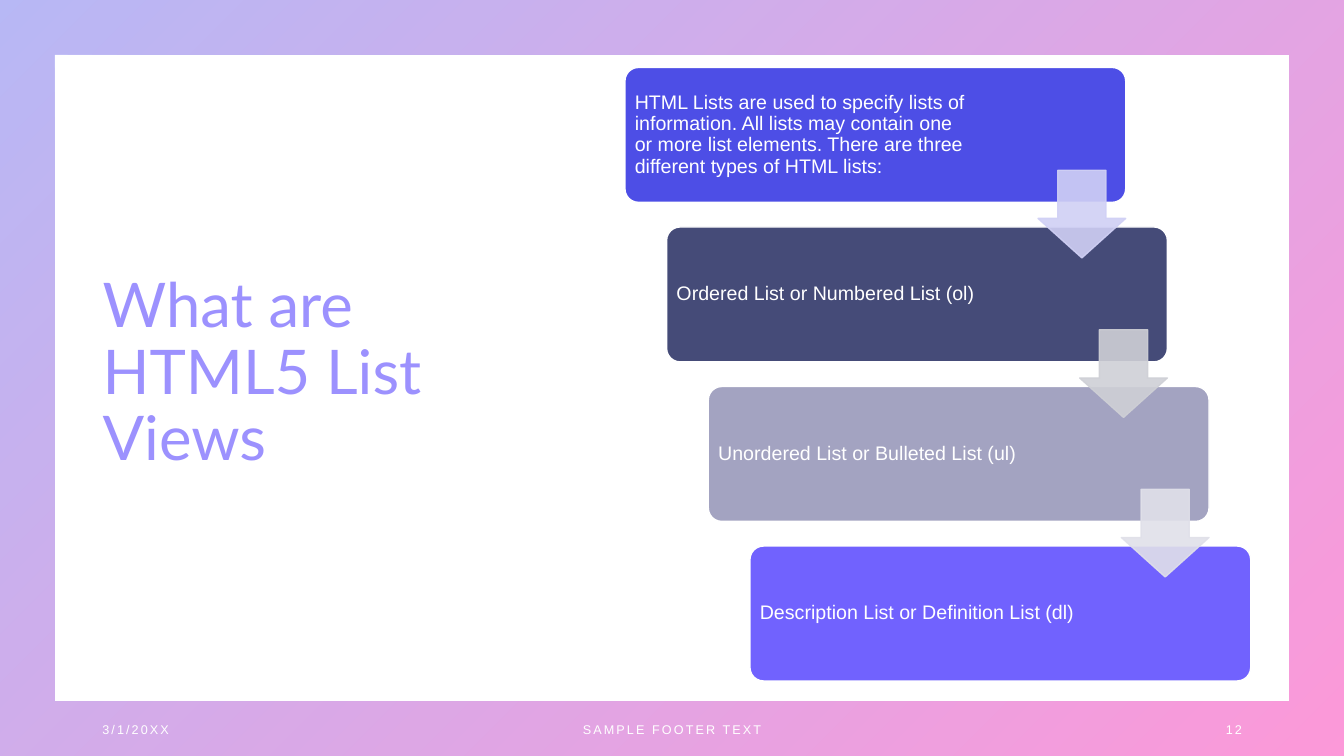
from lxml.etree import SubElement
from pptx import Presentation
from pptx.dml.color import RGBColor
from pptx.enum.shapes import MSO_SHAPE
from pptx.enum.text import MSO_ANCHOR, MSO_AUTO_SIZE, PP_ALIGN
from pptx.oxml.ns import qn
from pptx.util import Cm, Pt

WHITE = RGBColor(0xFF, 0xFF, 0xFF)
BLUE = RGBColor(0x4D, 0x4E, 0xE6)
PINK = RGBColor(0xF9, 0x00, 0xA0)
NAVY = RGBColor(0x45, 0x4B, 0x78)
GREY = RGBColor(0xA3, 0xA3, 0xC1)
VIOLET = RGBColor(0x71, 0x62, 0xFE)
TITLE_VIOLET = RGBColor(0x9C, 0x91, 0xFE)
PALE_BLUE = RGBColor(0xD0, 0xD0, 0xF5)
PALE_NAVY = RGBColor(0xCF, 0xD0, 0xD6)
PALE_GREY = RGBColor(0xE0, 0xE0, 0xE9)

STEPS = [
    ("HTML Lists are used to specify lists of information. All lists may contain one "
     "or more list elements. There are three different types of HTML lists:", BLUE),
    ("Ordered List or Numbered List (ol)", NAVY),
    ("Unordered List or Bulleted List (ul)", GREY),
    ("Description List or Definition List (dl)", VIOLET),
]
ARROW_COLORS = [PALE_BLUE, PALE_NAVY, PALE_GREY]
FOOTERS = [
    ("3/1/20XX", 2.33, 7.62, PP_ALIGN.LEFT),
    ("SAMPLE FOOTER TEXT", 11.22, 11.43, PP_ALIGN.CENTER),
    ("12", 23.93, 7.62, PP_ALIGN.RIGHT),
]
STEP_RIGHT = 1.05
STEP_DOWN = 4.02


def set_opacity(shape, percent):
    for color in shape._element.spPr.iter(qn("a:srgbClr")):
        SubElement(color, qn("a:alpha")).set("val", str(percent * 1000))


def format_text(box, size, font, color, align=PP_ALIGN.LEFT, line_spacing=None):
    frame = box.text_frame
    frame.word_wrap = True
    frame.auto_size = MSO_AUTO_SIZE.NONE
    frame.vertical_anchor = MSO_ANCHOR.MIDDLE
    para = frame.paragraphs[0]
    para.alignment = align
    para.line_spacing = line_spacing
    span = para.runs[0]
    span.font.size = Pt(size)
    span.font.name = font
    span.font.color.rgb = color
    return span


def add_shape(page, kind, left, top, width, height, adjustments):
    shape = page.shapes.add_shape(kind, Cm(left), Cm(top), Cm(width), Cm(height))
    shape.shadow.inherit = False
    for index, value in enumerate(adjustments):
        shape.adjustments[index] = value
    return shape


def paint(shape, fill, line):
    shape.fill.solid()
    shape.fill.fore_color.rgb = fill
    shape.line.color.rgb = line
    shape.line.width = Pt(1)


def add_border(page):
    border = add_shape(page, MSO_SHAPE.FRAME, 0, 0, 33.87, 19.05, [0.072])
    border.line.fill.background()
    border.fill.gradient()
    border.fill.gradient_angle = 315
    for stop, color, position in zip(border.fill.gradient_stops, (BLUE, PINK), (0, 1)):
        stop.color.rgb = color
        stop.position = position
    set_opacity(border, 40)


def add_title(page, text):
    title = page.shapes.title
    title.left, title.top = Cm(2.33), Cm(1.7)
    title.width, title.height = Cm(12.35), Cm(15.47)
    title.text_frame.text = text
    format_text(title, 44, "Lato", TITLE_VIOLET, line_spacing=0.9)


def add_footer(page, text, left, width, align):
    box = page.shapes.add_textbox(Cm(left), Cm(17.86), Cm(width), Cm(1.02))
    box.text_frame.text = text
    span = format_text(box, 9, "Arial", WHITE, align)
    span.font._element.set("spc", "150")


def add_step(page, index, text, color):
    box = add_shape(page, MSO_SHAPE.ROUNDED_RECTANGLE, 15.75 + index * STEP_RIGHT,
                    1.7 + index * STEP_DOWN, 12.62, 3.4, [0.1])
    paint(box, color, WHITE)
    frame = box.text_frame
    frame.text = text
    frame.margin_left = frame.margin_top = frame.margin_bottom = Cm(0.15)
    frame.margin_right = Cm(3.89)
    format_text(box, 14, "Arial", WHITE, line_spacing=0.9)


def add_arrow(page, index, color):
    arrow = add_shape(page, MSO_SHAPE.DOWN_ARROW, 26.16 + index * STEP_RIGHT,
                      4.29 + index * STEP_DOWN, 2.21, 2.21, [0.55, 0.45])
    paint(arrow, color, color)
    set_opacity(arrow, 90)


def main():
    deck = Presentation()
    deck.slide_width, deck.slide_height = Cm(33.87), Cm(19.05)
    page = deck.slides.add_slide(deck.slide_layouts[5])
    add_border(page)
    add_title(page, "What are HTML5 List Views")
    for footer in FOOTERS:
        add_footer(page, *footer)
    for index, (text, color) in enumerate(STEPS):
        add_step(page, index, text, color)
    for index, color in enumerate(ARROW_COLORS):
        add_arrow(page, index, color)
    deck.save("out.pptx")


if __name__ == "__main__":
    main()
